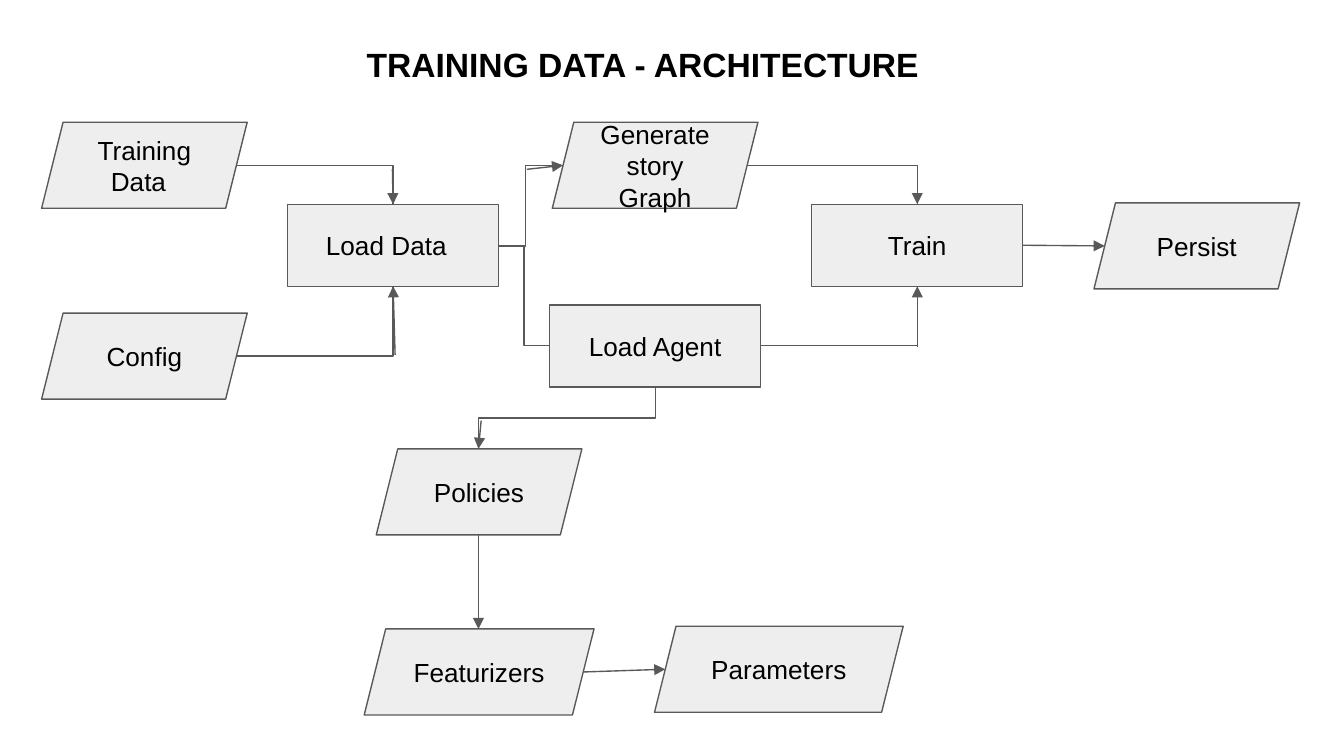
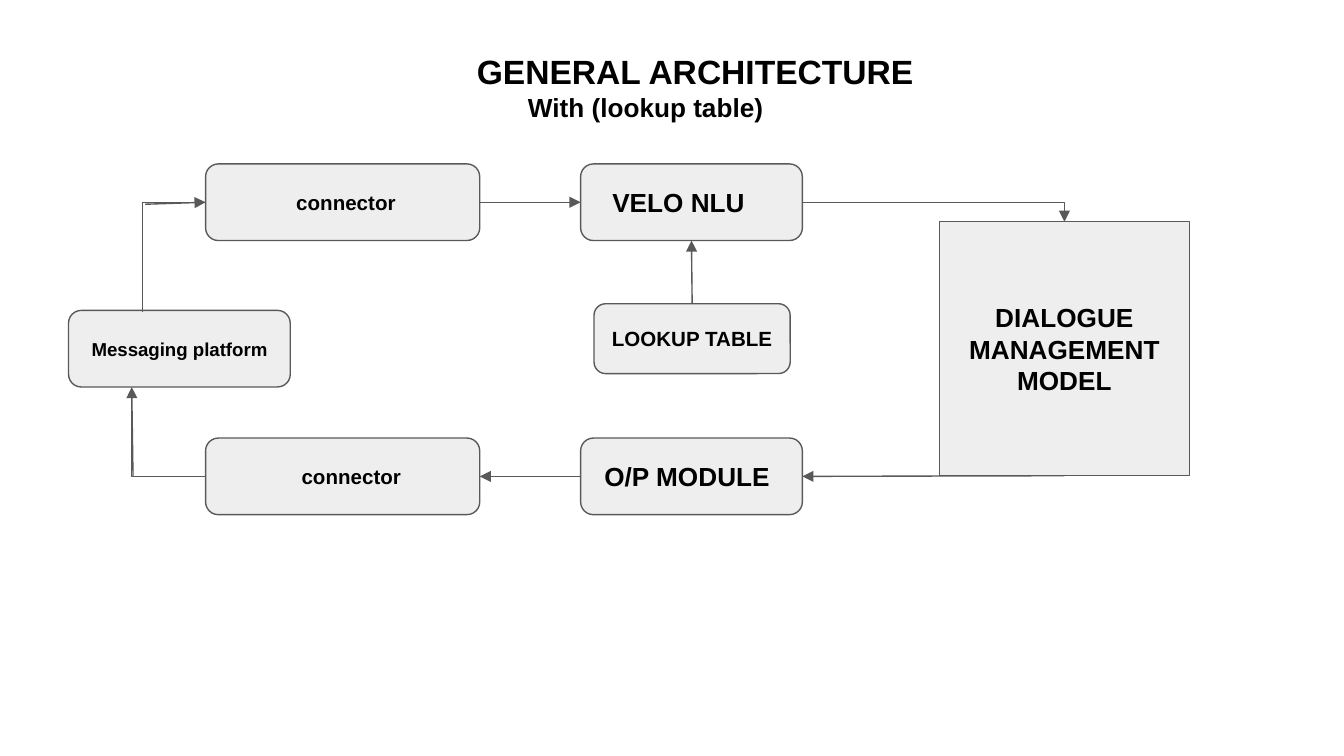
from lxml import etree
from pptx import Presentation
from pptx import util as u
from pptx.dml.color import RGBColor
from pptx.enum import shapes, text
from pptx.oxml.ns import qn

BLACK = RGBColor(0x00, 0x00, 0x00)
PALE = RGBColor(0xEE, 0xEE, 0xEE)
GREY = RGBColor(0x59, 0x59, 0x59)
FONT = "Arial"

# The slide is a grid of 100 columns; rows are as high as columns are wide.
COLUMNS, ROWS = 100, 56.25
CELL = u.Inches(0.1)
INSET = CELL
TAB = 5  # first-line step of the headings, in columns

KINDS = {
    "box": shapes.MSO_SHAPE.RECTANGLE,
    "data": shapes.MSO_SHAPE.PARALLELOGRAM,
    "round": shapes.MSO_SHAPE.ROUNDED_RECTANGLE,
}
TOP, LEFT, BOTTOM, RIGHT = range(4)


def cells(*counts):
    return [round(count * CELL) for count in counts]


def fill_frame(frame, paragraphs, anchor, align):
    """Write (words, size, bold, left margin, first-line indent) paragraphs."""
    frame.word_wrap = True
    frame.vertical_anchor = anchor
    for side in ("left", "top", "right", "bottom"):
        setattr(frame, "margin_" + side, INSET)
    for number, (words, size, bold, margin, indent) in enumerate(paragraphs):
        line = frame.add_paragraph() if number else frame.paragraphs[0]
        line.alignment = align
        margin, indent = cells(margin, indent)
        line._p.get_or_add_pPr().set("marL", str(margin))
        line._p.get_or_add_pPr().set("indent", str(indent))
        run = line.add_run()
        run.text = words
        for key, value in {"name": FONT, "size": u.Pt(size), "bold": bold}.items():
            setattr(run.font, key, value)
        run.font.color.rgb = BLACK


# Steps: key, kind, words, place, size, bold, centred, left margin.
# Links: preset, start, end, arrow; an end is a grid point or (key, side).
CENTRE_X = {"load": 29.25, "train": 68.25, "policies": 35.6}
UPPER, MIDDLE = 12.3, 18.3  # rows along which the training links run
FLOW_UPPER, FLOW_LOWER = 15.05, 35.45

training = {
    "heading": (16.3, 2.3, 70.3, 4.4),
    "lines": [("TRAINING DATA - ARCHITECTURE", 18, True, TAB, TAB)],
    "steps": [
        (key, kind, words, place, 14, False, True, 0)
        for key, kind, words, place in [
            ("load", "box", "Load Data\t", (21.4, 15.2, 15.7, 6.1)),
            ("train", "box", "Train", (60.4, 15.2, 15.7, 6.1)),
            ("agent", "box", "Load Agent", (40.9, 22.7, 15.7, 6.1)),
            ("data", "data", "Training Data\t", (3.1, 9.1, 15.3, 6.4)),
            ("config", "data", "Config", (3.1, 23.3, 15.3, 6.4)),
            ("story", "data", "Generate story Graph", (41.1, 9.1, 15.3, 6.4)),
            ("parameters", "data", "Parameters", (48.7, 46.6, 18.5, 6.4)),
            ("featurizers", "data", "Featurizers", (27.1, 46.8, 17.1, 6.4)),
            ("policies", "data", "Policies", (28, 33.4, 15.3, 6.4)),
            ("persist", "data", "Persist", (81.4, 15.1, 15.3, 6.4)),
        ]
    ],
    "links": [
        ("bentConnector2", (17.6, UPPER), (CENTRE_X["load"], 15.2), False),
        ("bentConnector2", (17.6, 26.5), (CENTRE_X["load"], 21.3), False),
        ("early", (37.1, MIDDLE), (41.9, UPPER), False),
        ("bentConnector3", (37.1, MIDDLE), (40.9, 25.7), False),
        ("bentConnector2", (55.6, UPPER), (CENTRE_X["train"], 15.2), False),
        ("bentConnector2", (56.6, 25.7), (CENTRE_X["train"], 21.3), False),
        ("turned", (48.75, 28.8), (CENTRE_X["policies"], 33.4), False),
        ("line", ("train", RIGHT), (82.2, MIDDLE), True),
        ("line", (29.2, 12.6), ("load", TOP), True),
        ("line", (29.4, 26.4), ("load", BOTTOM), True),
        ("line", (39.2, 12.6), (41.9, UPPER), True),
        ("line", (CENTRE_X["train"], 12.7), ("train", TOP), True),
        ("line", (CENTRE_X["train"], 25.8), ("train", BOTTOM), True),
        ("line", (35.8, 31.3), (CENTRE_X["policies"], 33.4), True),
        ("line", (43.4, 50), (49.5, 49.8), True),
        ("line", (CENTRE_X["policies"], 39.8), (CENTRE_X["policies"], 46.8), True),
    ],
}

general = {
    "heading": (24.5, 2.8, 47.3, 5.7),
    "lines": [
        ("GENERAL ARCHITECTURE", 18, True, TAB, TAB),
        ("With (lookup table)", 14, True, TAB, TAB + 3.8),
    ],
    "steps": [
        ("platform", "round", "Messaging platform", (5.1, 23.1, 16.5, 5.7), 10, True, True, 0),
        ("reply", "round", "connector", (15.3, 32.6, 20.4, 5.7), 11, True, True, 1.3),
        ("request", "round", "connector", (15.3, 12.2, 20.4, 5.7), 11, True, True, 0.5),
        ("nlu", "round", "VELO NLU", (43.2, 12.2, 16.5, 5.7), 14, True, False, 1.1),
        ("output", "round", "O/P MODULE", (43.2, 32.6, 16.5, 5.7), 14, True, False, 0.5),
        ("dialogue", "box", "DIALOGUE MANAGEMENT MODEL",
         (69.9, 16.5, 18.6, 18.9), 14, True, True, 0),
        ("lookup", "round", "LOOKUP TABLE", (44.2, 22.6, 14.6, 5.2), 11, True, True, 0),
    ],
    "links": [
        ("bentConnector2", (15.3, FLOW_LOWER), (9.8, 28.9), False),
        ("bentConnector2", (15.3, FLOW_UPPER), (10.6, 23.2), False),
        ("bentConnector2", (59.7, FLOW_UPPER), (79.2, 16.5), True),
        ("line", ("request", RIGHT), ("nlu", LEFT), True),
        ("line", ("output", LEFT), ("reply", RIGHT), True),
        ("line", ("dialogue", BOTTOM), ("output", RIGHT), True),
        ("line", (9.9, FLOW_LOWER), (9.8, 28.8), True),
        ("line", (10.8, 15.2), ("request", LEFT), True),
        ("line", ("lookup", TOP), ("nlu", BOTTOM), True),
    ],
}

deck = Presentation()
deck.slide_width, deck.slide_height = cells(COLUMNS, ROWS)

for content in (training, general):
    slide = deck.slides.add_slide(deck.slide_layouts[6])

    steps = {}
    for key, kind, words, place, size, bold, centred, margin in content["steps"]:
        step = slide.shapes.add_shape(KINDS[kind], *cells(*place))
        step.shadow.inherit = False
        step.fill.solid()
        step.fill.fore_color.rgb = PALE
        step.line.color.rgb = GREY
        step.line.width = u.Pt(0.75)
        align = text.PP_ALIGN.CENTER if centred else text.PP_ALIGN.LEFT
        fill_frame(step.text_frame, [(words, size, bold, margin, 0)],
                   text.MSO_ANCHOR.MIDDLE, align)
        steps[key] = step

    for preset, start, end, arrow in content["links"]:
        joins = [point if point[0] in steps else None for point in (start, end)]
        (x1, y1), (x2, y2) = [(0, 0) if join else point
                              for join, point in zip(joins, (start, end))]
        if preset == "turned":  # leaves downwards: swap the sides, then turn by 90°
            x, y = (x1 + x2) / 2, (y1 + y2) / 2
            across, down = abs(y2 - y1) / 2, abs(x2 - x1) / 2
            x1, y1, x2, y2 = x - across, y - down, x + across, y + down
        route = shapes.MSO_CONNECTOR.STRAIGHT if preset == "line" else shapes.MSO_CONNECTOR.ELBOW
        link = slide.shapes.add_connector(route, *cells(x1, y1, x2, y2))
        for join, connect in zip(joins, (link.begin_connect, link.end_connect)):
            if join:
                connect(steps[join[0]], join[1])
        link.line.color.rgb = GREY
        link.line.width = u.Pt(0.75)
        properties = link._element.spPr
        geometry = properties.find(qn("a:prstGeom"))
        if preset == "bentConnector2":
            geometry.set("prst", preset)
        if preset == "early":  # bends before the halfway point
            etree.SubElement(geometry.find(qn("a:avLst")), qn("a:gd"),
                             name="adj1", fmla="val 41700")
        if preset == "turned":
            properties.find(qn("a:xfrm")).set("rot", "5400000")
        if arrow:
            etree.SubElement(properties.find(qn("a:ln")), qn("a:tailEnd"), type="triangle")
        etree.SubElement(properties, qn("a:effectLst"))

    heading = slide.shapes.add_textbox(*cells(*content["heading"]))
    fill_frame(heading.text_frame, content["lines"], text.MSO_ANCHOR.TOP, text.PP_ALIGN.LEFT)

deck.save("out.pptx")
